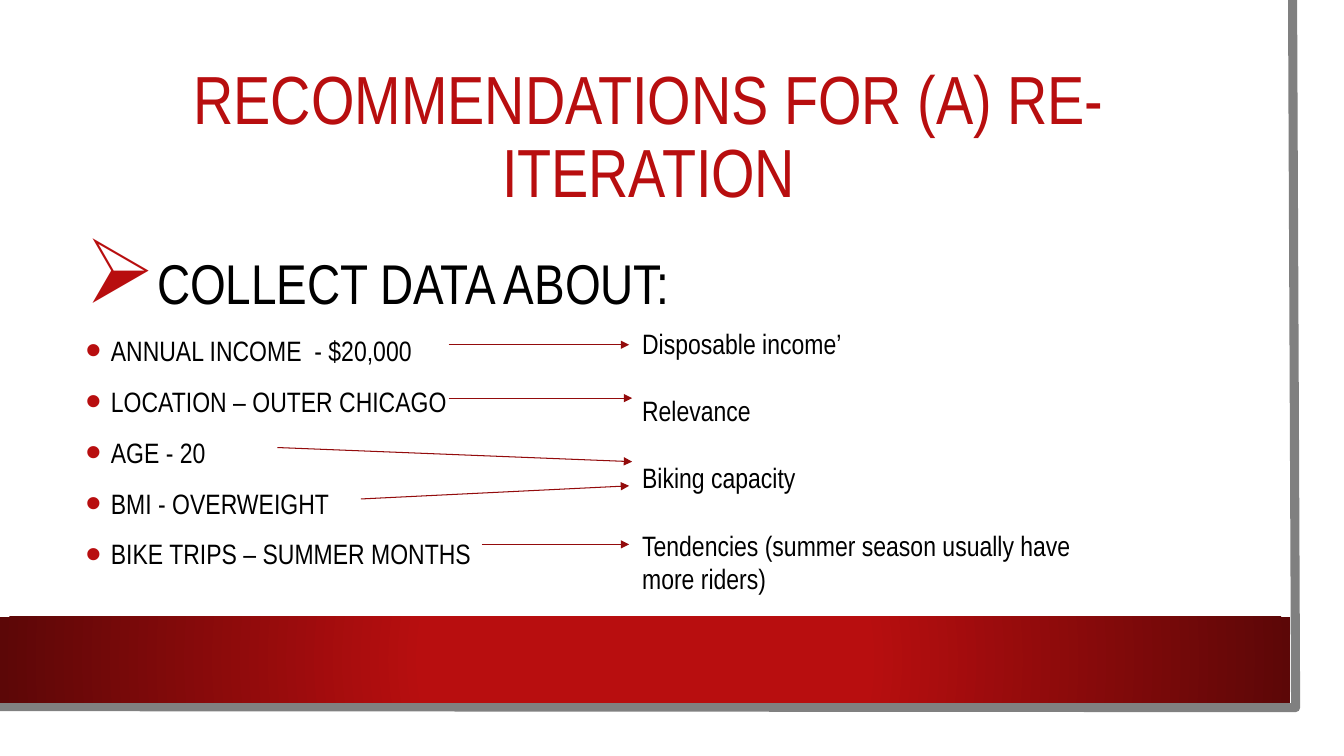
from lxml import etree
from pptx import Presentation
from pptx.dml.color import RGBColor
from pptx.enum.shapes import MSO_CONNECTOR, MSO_SHAPE
from pptx.enum.text import MSO_ANCHOR, MSO_AUTO_SIZE, PP_ALIGN
from pptx.oxml import parse_xml
from pptx.oxml.ns import nsdecls, qn
from pptx.util import Inches, Pt

RECTANGLE = MSO_SHAPE.RECTANGLE
STRAIGHT = MSO_CONNECTOR.STRAIGHT
MIDDLE, TOP = MSO_ANCHOR.MIDDLE, MSO_ANCHOR.TOP
CENTER, LEFT = PP_ALIGN.CENTER, PP_ALIGN.LEFT
NO_AUTOFIT = MSO_AUTO_SIZE.NONE

COLORS = {
    "red": "B80E0F", "dark_red": "5C0707", "arrow": "930B0C",
    "edge": "808080", "text": "000000", "white": "FFFFFF",
}
FONT = "Arial Narrow"
TITLE = "RECOMMENDATIONS FOR (A) RE-ITERATION"
HEADING = "COLLECT DATA ABOUT:"
DATA_POINTS = [
    "ANNUAL INCOME  - $20,000 ",
    "LOCATION – OUTER CHICAGO",
    "AGE - 20",
    "BMI - OVERWEIGHT",
    "BIKE TRIPS – SUMMER MONTHS",
]
REASONS = [
    "Disposable income’",
    "Relevance",
    "Biking capacity",
    "Tendencies (summer season usually have more riders)",
]
ARROWS = [
    (4.45, 3.42, 6.24, 3.42),
    (4.45, 3.95, 6.27, 3.95),
    (2.75, 4.44, 6.27, 4.58),
    (3.58, 4.95, 6.24, 4.82),
    (4.78, 5.4, 6.24, 5.4),
]


def rgb(name):
    """Return the named palette colour."""
    return RGBColor.from_string(COLORS[name])


def apply(target, formats):
    """Set each attribute in formats on target."""
    for attribute, value in formats.items():
        setattr(target, attribute, value)


def place(shape, left, top, width, height):
    """Move and size a shape, in inches."""
    apply(shape, {"left": Inches(left), "top": Inches(top),
                  "width": Inches(width), "height": Inches(height)})


def prepare_frame(shape, anchor):
    """Make a shape's text wrap at a fixed size and return its frame."""
    frame = shape.text_frame
    apply(frame, {"auto_size": NO_AUTOFIT, "word_wrap": True,
                  "vertical_anchor": anchor})
    return frame


def write_lines(frame, lines, size, color="text", **formats):
    """Append paragraphs to a frame, using its empty first one if free."""
    written = []
    for line in lines:
        first = frame.paragraphs[0]
        paragraph = frame.add_paragraph() if first.runs else first
        apply(paragraph, formats)
        run = paragraph.add_run()
        run.text = line
        apply(run.font, {"name": FONT, "size": Pt(size)})
        run.font.color.rgb = rgb(color)
        written.append(paragraph)
    return written


def add_bullet(paragraph, font, char):
    """Give a paragraph a large red hanging bullet."""
    properties = paragraph._p.get_or_add_pPr()
    properties.set("marL", str(Inches(0.25)))
    properties.set("indent", str(-Inches(0.25)))
    color = etree.SubElement(properties, qn("a:buClr"))
    etree.SubElement(color, qn("a:srgbClr"), val=COLORS["red"])
    etree.SubElement(properties, qn("a:buSzPct"), val="160000")
    etree.SubElement(properties, qn("a:buFont"), typeface=font)
    etree.SubElement(properties, qn("a:buChar"), char=char)


def add_panel(slide, left, top, width, height):
    """Add a white rectangle without outline or shadow."""
    panel = slide.shapes.add_shape(RECTANGLE, Inches(left), Inches(top),
                                   Inches(width), Inches(height))
    panel.shadow.inherit = False
    panel.fill.solid()
    panel.fill.fore_color.rgb = rgb("white")
    panel.line.fill.background()
    return panel


def add_edge(slide):
    """Add the grey paper edge along the right and bottom."""
    builder = slide.shapes.build_freeform(Inches(12.82), 0)
    builder.add_line_segments([(Inches(12.85), Inches(7.02)),
                               (Inches(-0.03), Inches(7.01))], close=False)
    edge = builder.convert_to_shape()
    edge.shadow.inherit = False
    edge.fill.background()
    edge.line.color.rgb = rgb("edge")
    edge.line.width = Pt(6.5)
    return edge


def fill_radial(shape, inner, outer):
    """Fill a shape with a gradient spreading from its centre."""
    gradient = parse_xml(
        f'<a:gradFill {nsdecls("a")} rotWithShape="1"><a:gsLst>'
        f'<a:gs pos="34000"><a:srgbClr val="{COLORS[inner]}"/></a:gs>'
        f'<a:gs pos="100000"><a:srgbClr val="{COLORS[outer]}"/></a:gs>'
        '</a:gsLst><a:path path="circle"><a:fillToRect l="50000" t="50000" '
        'r="50000" b="50000"/></a:path></a:gradFill>')
    properties = shape._element.spPr
    properties.replace(properties.find(qn("a:solidFill")), gradient)


def add_backdrop(slide):
    """Build the paper, its edge and the red band behind the text."""
    paper = add_panel(slide, 0, 0, 13.1, 7.27)
    edge = add_edge(slide)
    band = add_panel(slide, 0, 6.12, 12.8, 0.85)
    fill_radial(band, "red", "dark_red")
    for layer in (paper, edge, band):
        slide.shapes.title._element.addprevious(layer._element)


def add_title(slide):
    """Fill the title placeholder."""
    title = slide.shapes.title
    place(title, 0.75, 0.75, 11.37, 1.26)
    write_lines(prepare_frame(title, MIDDLE), [TITLE], 48.6, "red",
                alignment=CENTER, line_spacing=0.9)


def add_data_list(slide):
    """Fill the body placeholder with the heading and data points."""
    body = slide.placeholders[1]
    place(body, 0.75, 2.26, 11.37, 3.54)
    frame = prepare_frame(body, MIDDLE)
    spacing = {"alignment": LEFT, "line_spacing": 1.1,
               "space_before": Pt(10), "space_after": Pt(0)}
    for heading in write_lines(frame, [HEADING], 40, **spacing):
        add_bullet(heading, "Wingdings", "Ø")
    for point in write_lines(frame, DATA_POINTS, 20, **spacing):
        add_bullet(point, "Arial", "•")


def add_arrow(slide, x1, y1, x2, y2):
    """Add a thin red arrow between two points, in inches."""
    arrow = slide.shapes.add_connector(STRAIGHT, Inches(x1), Inches(y1),
                                       Inches(x2), Inches(y2))
    arrow.line.color.rgb = rgb("arrow")
    arrow.line.width = Pt(0.75)
    etree.SubElement(arrow.line._get_or_add_ln(), qn("a:tailEnd"),
                     type="triangle")
    etree.SubElement(arrow._element.spPr, qn("a:effectLst"))


def add_reasons(slide):
    """Add the reasons that the arrows lead to."""
    reasons = slide.shapes.add_textbox(Inches(6.27), Inches(3.19),
                                       Inches(4.82), Inches(2.79))
    paragraphs = write_lines(prepare_frame(reasons, TOP), REASONS, 20)
    for paragraph in paragraphs[1:]:
        paragraph.space_before = Pt(24)


def main():
    """Build and save the slide."""
    deck = Presentation()
    apply(deck, {"slide_width": Inches(13.33), "slide_height": Inches(7.5)})
    slide = deck.slides.add_slide(deck.slide_layouts[1])
    add_backdrop(slide)
    add_title(slide)
    add_data_list(slide)
    for ends in ARROWS:
        add_arrow(slide, *ends)
    add_reasons(slide)
    deck.save("out.pptx")


if __name__ == "__main__":
    main()
